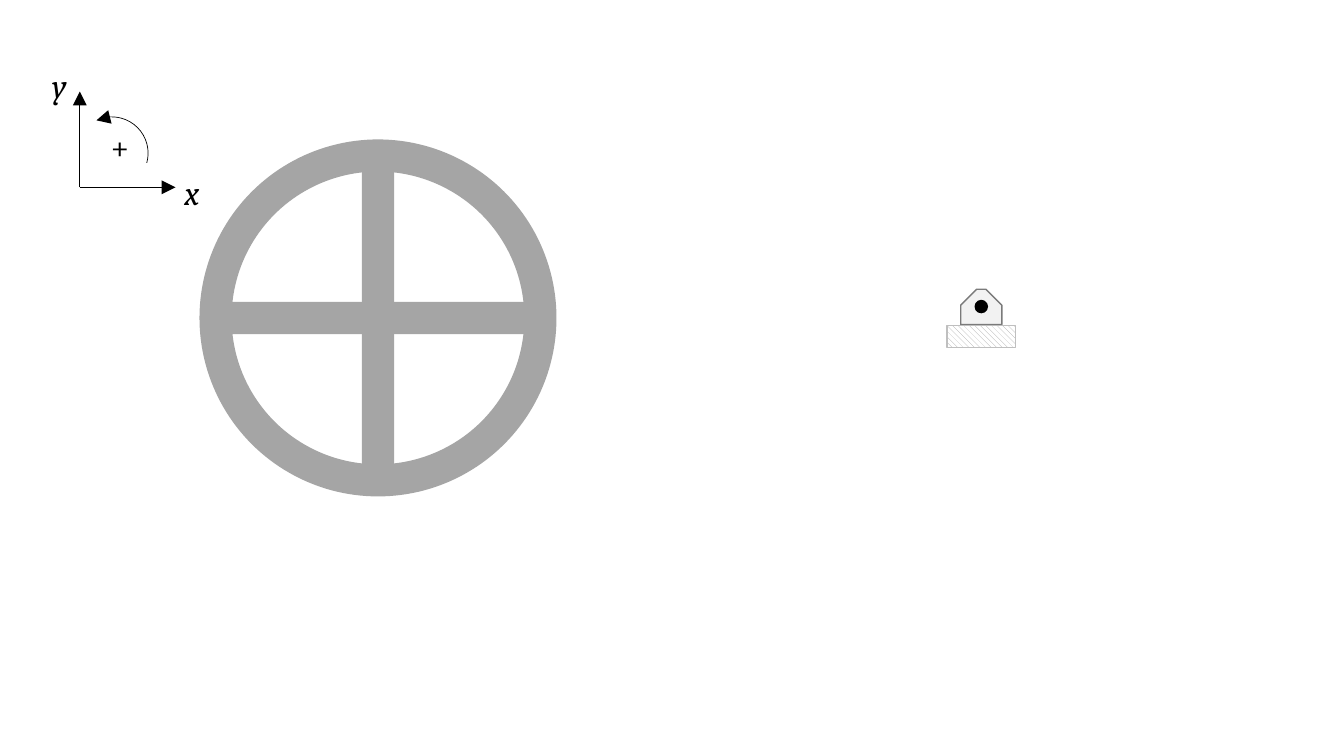
import dataclasses
import typing

import lxml.etree
import pptx
import pptx.dml.color
import pptx.enum.dml
import pptx.enum.shapes
import pptx.enum.text
import pptx.oxml.ns
import pptx.util

Kind = pptx.enum.shapes.MSO_SHAPE
Color = pptx.dml.color.RGBColor


@dataclasses.dataclass(frozen=True)
class Theme:
    ink: str = "000000"
    paper: str = "FFFFFF"
    steel: str = "A5A5A5"
    shell: str = "F2F2F2"
    edge: str = "7A7A7A"
    ground: str = "BFBFBF"
    font: str = "Cambria"
    size: float = 24
    thin: float = 0.5
    solid: float = 1


@dataclasses.dataclass(frozen=True)
class Part:
    kind: Kind
    x: float
    y: float
    wide: float
    high: float
    fill: typing.Optional[str] = None
    line: typing.Optional[str] = None
    weight: float = 1
    turn: float = 0
    adjust: tuple[float, ...] = ()
    hatch: bool = False
    head: bool = False


@dataclasses.dataclass(frozen=True)
class Label:
    text: str
    x: float
    y: float
    slant: bool = True


THEME = Theme()
WIDTH, HEIGHT = pptx.util.Inches(13.33), pptx.util.Inches(7.5)
COLS, ROWS = 160, 90
LABEL_WIDE, LABEL_HIGH = 11.04, 6

HUB_X, HUB_Y = 45, 37.85
WHEEL = [
    Part(Kind.DONUT, HUB_X, HUB_Y, 42.5, 42.5, THEME.steel, adjust=(0.09,)),
    *(Part(Kind.RECTANGLE, HUB_X, HUB_Y, 39.4, 3.84, THEME.steel, turn=turn)
      for turn in (0, 90)),
]

ZERO_X, ZERO_Y, REACH = 9.5, 22.3, 11.4
TIPS = [(ZERO_X + REACH, ZERO_Y), (ZERO_X, ZERO_Y - REACH)]
LABELS = [
    Label("y", 10.56, 10.08),
    Label("x", 26.28, 22.92),
    Label("+", 17.52, 17.4, slant=False),
]
SPIN = Part(Kind.ARC, 13.32, 18.24, 8.64, 8.64, line=THEME.ink,
            weight=THEME.thin, adjust=(146.93, 9.26), head=True)

PIN_X = 116.82
MOUNT = [
    Part(Kind.SNIP_2_SAME_RECTANGLE, PIN_X, 36.54, 4.9, 4.2, THEME.shell,
         THEME.edge, THEME.solid, adjust=(0.45, 0)),
    Part(Kind.RECTANGLE, PIN_X, 40.08, 8.16, 2.64, THEME.steel,
         THEME.ground, THEME.solid, hatch=True),
    Part(Kind.OVAL, PIN_X, 36.5, 1.44, 1.44, THEME.ink, THEME.ink, THEME.solid),
]


def across(cols: float) -> int:
    return round(WIDTH * cols / COLS)


def down(rows: float) -> int:
    return round(HEIGHT * rows / ROWS)


def frame(x: float, y: float, wide: float, high: float) -> tuple[int, ...]:
    return across(x - wide / 2), down(y - high / 2), across(wide), down(high)


def style(item: typing.Any, form: dict[str, typing.Any]) -> None:
    for name, value in form.items():
        setattr(item, name, value)


def stroke(item: typing.Any, shade: str, weight: float) -> None:
    item.line.color.rgb = Color.from_string(shade)
    item.line.width = pptx.util.Pt(weight)


def arrow(item: typing.Any, end: str) -> None:
    outline = item.line._get_or_add_ln()
    lxml.etree.SubElement(outline, pptx.oxml.ns.qn(end),
                          {"type": "triangle", "w": "lg", "len": "lg"})


def paint(item: typing.Any, part: Part) -> None:
    if part.fill is None:
        item.fill.background()
    elif part.hatch:
        item.fill.patterned()
        item.fill.pattern = pptx.enum.dml.MSO_PATTERN.WIDE_DOWNWARD_DIAGONAL
        item.fill.fore_color.rgb = Color.from_string(part.fill)
        item.fill.back_color.rgb = Color.from_string(THEME.paper)
    else:
        item.fill.solid()
        item.fill.fore_color.rgb = Color.from_string(part.fill)


def draw(group: typing.Any, part: Part) -> None:
    item = group.shapes.add_shape(
        part.kind, *frame(part.x, part.y, part.wide, part.high))
    item.shadow.inherit = False
    item.rotation = part.turn
    for index, value in enumerate(part.adjust):
        item.adjustments[index] = value
    paint(item, part)
    if part.line is None:
        item.line.fill.background()
    else:
        stroke(item, part.line, part.weight)
    if part.head:
        arrow(item, "a:headEnd")


def axis(group: typing.Any, tip: tuple[float, float]) -> None:
    item = group.shapes.add_connector(
        pptx.enum.shapes.MSO_CONNECTOR.STRAIGHT,
        across(ZERO_X), down(ZERO_Y), across(tip[0]), down(tip[1]))
    stroke(item, THEME.ink, THEME.thin)
    arrow(item, "a:tailEnd")
    lxml.etree.SubElement(item._element.spPr, pptx.oxml.ns.qn("a:effectLst"))


def write(group: typing.Any, label: Label) -> None:
    item = group.shapes.add_textbox(
        *frame(label.x, label.y, LABEL_WIDE, LABEL_HIGH))
    style(item.text_frame, {
        "word_wrap": True,
        "auto_size": pptx.enum.text.MSO_AUTO_SIZE.SHAPE_TO_FIT_TEXT,
    })
    run = item.text_frame.paragraphs[0].add_run()
    run.text = label.text
    style(run.font, {
        "name": THEME.font,
        "size": pptx.util.Pt(THEME.size),
        "italic": label.slant,
    })
    run.font.color.rgb = Color.from_string(THEME.ink)


def main() -> None:
    deck = pptx.Presentation()
    style(deck, {"slide_width": WIDTH, "slide_height": HEIGHT})
    slide = deck.slides.add_slide(deck.slide_layouts[6])
    wheel, axes, mount = (slide.shapes.add_group_shape() for _ in range(3))
    for part in WHEEL:
        draw(wheel, part)
    for tip in TIPS:
        axis(axes, tip)
    for label in LABELS:
        write(axes, label)
    draw(axes, SPIN)
    for part in MOUNT:
        draw(mount, part)
    deck.save("out.pptx")


if __name__ == "__main__":
    main()
